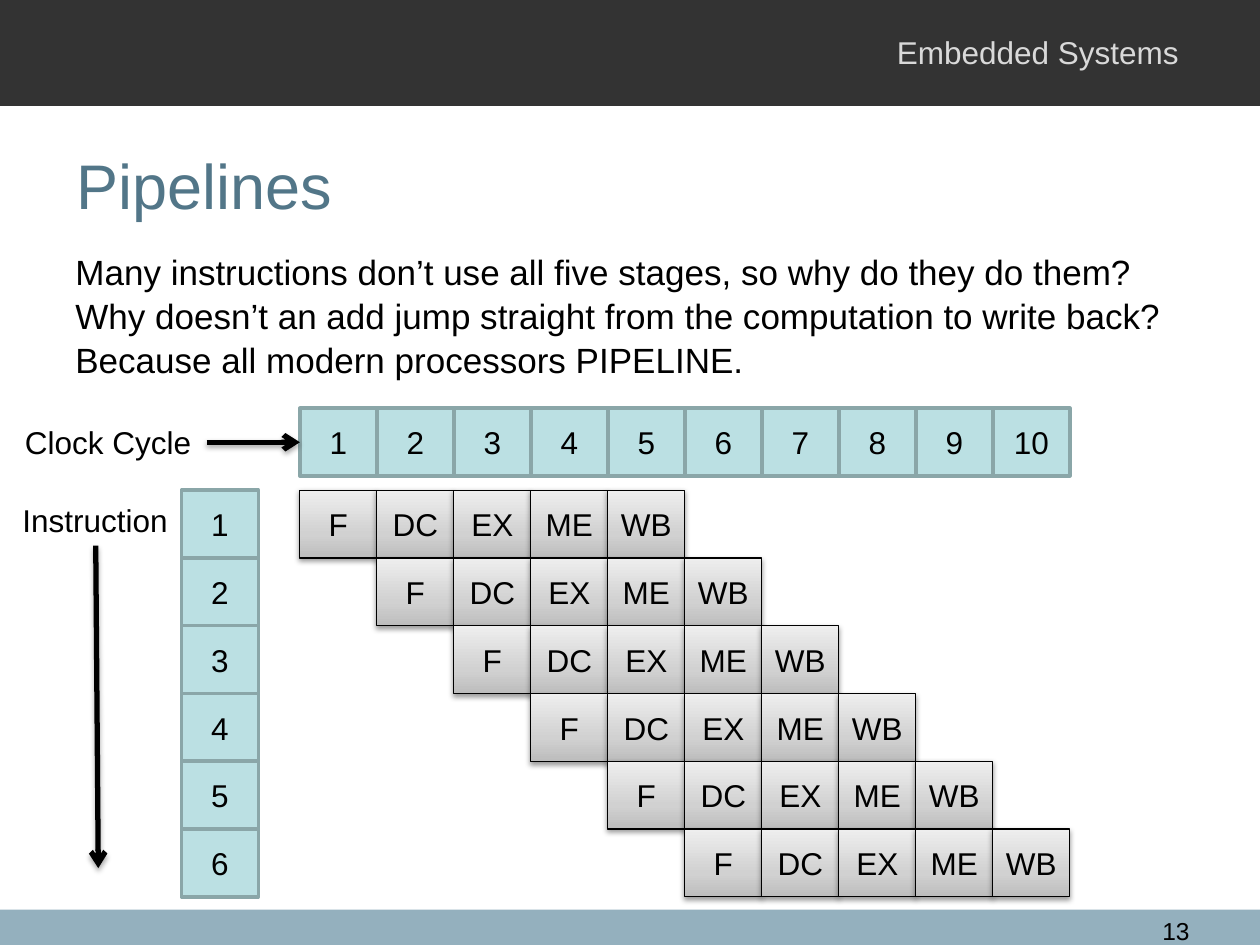
from copy import deepcopy
from dataclasses import dataclass

from lxml import etree
from pptx import Presentation
from pptx import util as u
from pptx.dml.color import RGBColor
from pptx.enum import shapes, text
from pptx.oxml.ns import qn


@dataclass(frozen=True)
class Theme:
    font: str = "Arial"
    ink: str = "000000"
    band: str = "333333"
    footer: str = "94B0BE"
    course: str = "D9D9D9"
    title: str = "527688"
    index_fill: str = "BBE0E3"
    index_line: str = "8AA6A8"
    stage_fill: tuple = ((0, "BDBDBD"), (0.35, "D1D1D1"), (1, "EEEEEE"))
    title_size: int = 36
    body_size: int = 20
    label_size: int = 18
    number_size: int = 14


theme = Theme()


def write(box, words, size, color=theme.ink, align=text.PP_ALIGN.LEFT,
          anchor=text.MSO_ANCHOR.TOP, wrap=True):
    frame = box.text_frame
    frame.text = words
    frame.word_wrap = wrap
    frame.vertical_anchor = anchor
    para = frame.paragraphs[0]
    para.alignment = align
    font = para.runs[0].font
    font.name, font.size = theme.font, u.Pt(size)
    font.color.rgb = RGBColor.from_string(color)


def add_shadow(properties, opacity, distance):
    """Give shape properties a soft black shadow that falls straight down."""
    effects = properties.find(qn("a:effectLst"))
    if effects is None:
        effects = etree.SubElement(properties, qn("a:effectLst"))
    shadow = etree.SubElement(effects, qn("a:outerShdw"), blurRad=str(u.Pt(3.1)),
                              dist=str(u.Pt(distance)), dir="5400000", rotWithShape="0")
    color = etree.SubElement(shadow, qn("a:srgbClr"), val=theme.ink)
    etree.SubElement(color, qn("a:alpha"), val=str(opacity * 1000))


deck = Presentation()
deck.slide_width, deck.slide_height = u.Inches(10), u.Inches(7.5)
page = deck.slides.add_slide(deck.slide_layouts[6])

# Bands across the top and bottom
for top, height, color in ((7.22, 0.28, theme.footer), (0, 0.84, theme.band)):
    band = page.shapes.add_shape(shapes.MSO_SHAPE.RECTANGLE, 0, u.Inches(top),
                                 deck.slide_width, u.Inches(height))
    band.shadow.inherit = False
    band.fill.solid()
    band.fill.fore_color.rgb = RGBColor.from_string(color)
    band.line.fill.background()

# Header, title, body, page number and axis labels
body_words = ("Many instructions don’t use all five stages, so why do they do them? "
              "Why doesn’t an add jump straight from the computation to write back? "
              "Because all modern processors PIPELINE.")
text_boxes = (
    ((7.02, 0.21, 2.5, 0.4), "Embedded Systems", theme.label_size, {"color": theme.course}),
    ((0.51, 0.84, 9, 1.25), "Pipelines", theme.title_size,
     {"color": theme.title, "anchor": text.MSO_ANCHOR.MIDDLE}),
    ((8.9, 7.22, 0.64, 0.24), "13", theme.number_size, {"align": text.PP_ALIGN.RIGHT}),
    ((0.5, 1.92, 9, 1.16), body_words, theme.body_size, {}),
    ((0.08, 3.93, 1.37, 0.4), "Instruction", theme.label_size, {"wrap": False}),
    ((0.1, 3.31, 1.53, 0.4), "Clock Cycle", theme.label_size, {"wrap": False}),
)
for place, words, size, style in text_boxes:
    box = page.shapes.add_textbox(*(u.Inches(length) for length in place))
    write(box, words, size, **style)
    if words == body_words:
        box.text_frame.paragraphs[0].line_spacing = 1.05

# Pipeline grid: one column per clock cycle, one row per instruction
stages = ("F", "DC", "EX", "ME", "WB")
cycles, instructions = 10, 6
grid_left, grid_top = 2.38, 3.89
column = (7.88 - grid_left) / (cycles - 1)
row = (6.58 - grid_top) / (instructions - 1)

cells = [(grid_left + (line + step) * column, grid_top + line * row, stage, True)
         for line in range(instructions) for step, stage in enumerate(stages)]
cells += [(1.44, grid_top + line * row, str(line + 1), False) for line in range(instructions)]
cells += [(grid_left + cycle * column, 3.24, str(cycle + 1), False) for cycle in range(cycles)]

for left, top, words, is_stage in cells:
    cell = page.shapes.add_shape(shapes.MSO_SHAPE.RECTANGLE, u.Inches(left), u.Inches(top),
                                 u.Inches(column), u.Inches(row))
    cell.shadow.inherit = False
    if is_stage:
        cell.fill.gradient()
        cell.fill.gradient_angle = 90
        stop_list = cell.fill.gradient_stops[0]._gs.getparent()
        stop_list.insert(1, deepcopy(stop_list[0]))
        for stop, (position, color) in zip(cell.fill.gradient_stops, theme.stage_fill):
            stop.position = position
            stop.color.rgb = RGBColor.from_string(color)
        add_shadow(cell._element.spPr, 38, 1.6)
    else:
        cell.fill.solid()
        cell.fill.fore_color.rgb = RGBColor.from_string(theme.index_fill)
    cell.line.color.rgb = RGBColor.from_string(theme.ink if is_stage else theme.index_line)
    cell.line.width = u.Pt(0.75 if is_stage else 2)
    write(cell, words, theme.label_size, align=text.PP_ALIGN.CENTER,
          anchor=text.MSO_ANCHOR.MIDDLE)
    cell.text_frame.margin_left = cell.text_frame.margin_right = 0

# Axis arrows: instructions run down, clock cycles run right
for ends in ((0.76, 4.33, 0.78, 6.89), (1.64, 3.51, grid_left, 3.51)):
    arrow = page.shapes.add_connector(shapes.MSO_CONNECTOR.STRAIGHT,
                                      *(u.Inches(length) for length in ends))
    arrow.line.color.rgb = RGBColor.from_string(theme.ink)
    arrow.line.width = u.Pt(3)
    etree.SubElement(arrow.line._get_or_add_ln(), qn("a:tailEnd"), type="arrow")
    add_shadow(arrow._element.spPr, 35, 1.8)

deck.save("out.pptx")
